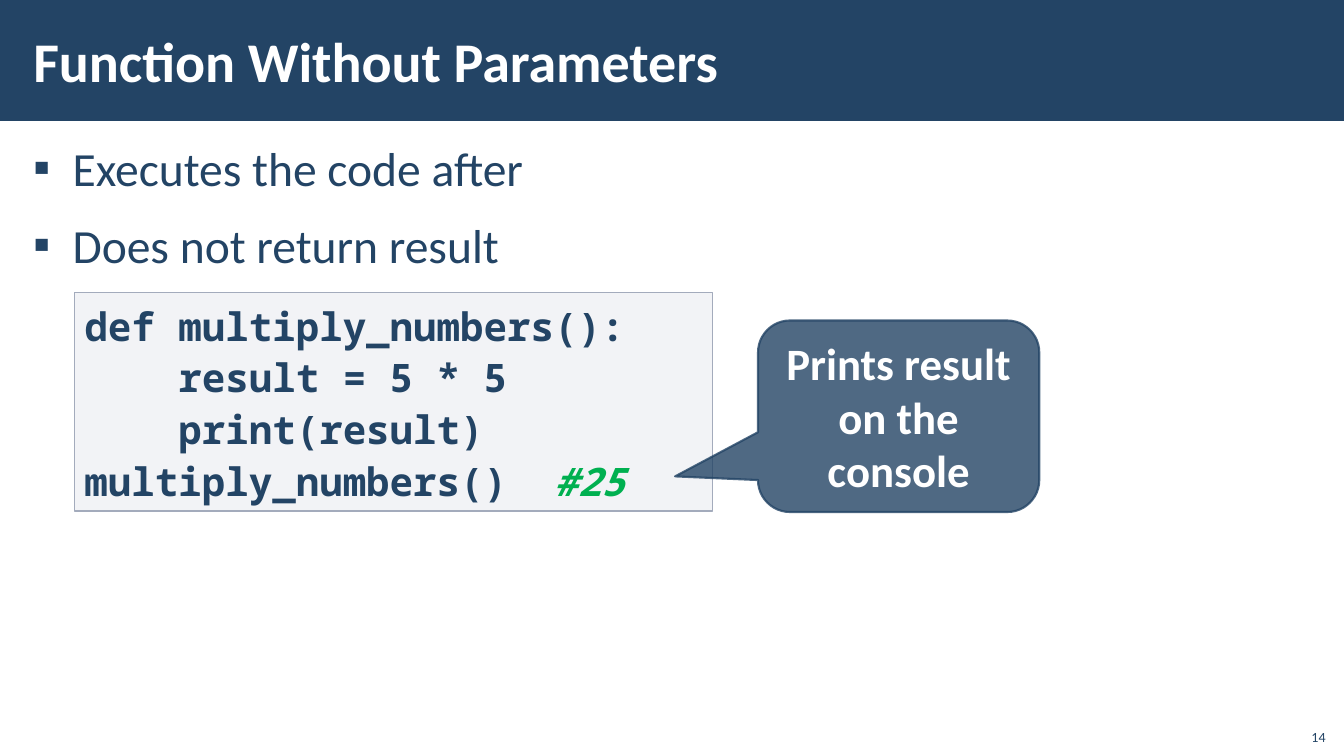
from dataclasses import dataclass

from lxml import etree
from pptx import Presentation
from pptx.dml.color import RGBColor
from pptx.enum.shapes import MSO_SHAPE
from pptx.enum.text import MSO_ANCHOR, MSO_AUTO_SIZE, PP_ALIGN
from pptx.oxml.ns import qn
from pptx.shapes.autoshape import Shape
from pptx.util import Pt

RECTANGLE = MSO_SHAPE.RECTANGLE
CALLOUT = MSO_SHAPE.ROUNDED_RECTANGULAR_CALLOUT
TOP, MIDDLE, BOTTOM = MSO_ANCHOR.TOP, MSO_ANCHOR.MIDDLE, MSO_ANCHOR.BOTTOM
LEFT, CENTER, RIGHT = PP_ALIGN.LEFT, PP_ALIGN.CENTER, PP_ALIGN.RIGHT
NO_FIT, GROW = MSO_AUTO_SIZE.NONE, MSO_AUTO_SIZE.SHAPE_TO_FIT_TEXT

COLORS = {
    "navy": "234465",
    "white": "FFFFFF",
    "code_fill": "C2C7D2",
    "code_line": "A3ABBC",
    "comment": "00B050",
}
SLIDE_WIDTH, SLIDE_HEIGHT = 960, 540
BULLET_INDENT = 28.08


@dataclass(frozen=True)
class Box:
    left: float
    top: float
    width: float
    height: float


@dataclass(frozen=True)
class TextStyle:
    size: float
    color: str
    font: str = "Calibri"
    bold: bool = False
    italic: bool = False
    align: PP_ALIGN = LEFT
    anchor: MSO_ANCHOR = TOP
    line_spacing: float = 1.0
    space: float = 0
    margin_x: float = 7.2
    margin_y: float = 3.6
    auto_size: MSO_AUTO_SIZE = NO_FIT


@dataclass(frozen=True)
class TextRun:
    text: str
    color: str | None = None
    italic: bool = False


TITLE = TextStyle(40, "white", bold=True, anchor=MIDDLE, margin_x=8.64, margin_y=2.88)
LIST = TextStyle(34, "navy", line_spacing=1.05, space=6, margin_x=8.64, margin_y=2.88)
CODE = TextStyle(28, "navy", "Noto Sans Mono", bold=True, line_spacing=1.1, auto_size=GROW)
NOTE = TextStyle(32, "white", bold=True, align=CENTER, anchor=MIDDLE, auto_size=GROW)
PAGE_NUMBER = TextStyle(10, "navy", align=RIGHT, anchor=BOTTOM)

BULLETS = [[TextRun("Executes the code after")], [TextRun("Does not return result")]]
CODE_LINES = [
    [TextRun("def multiply_numbers():")],
    [TextRun("    result = 5 * 5")],
    [TextRun("    print(result)")],
    [TextRun("multiply_numbers()  "), TextRun("#25", "comment", italic=True)],
]


def rgb(name: str) -> RGBColor:
    return RGBColor.from_string(COLORS[name])


def place(shape: Shape, box: Box) -> None:
    shape.left, shape.top = Pt(box.left), Pt(box.top)
    shape.width, shape.height = Pt(box.width), Pt(box.height)


def write(shape: Shape, lines: list[list[TextRun]], style: TextStyle) -> None:
    frame = shape.text_frame
    frame.word_wrap = True
    frame.auto_size = style.auto_size
    frame.vertical_anchor = style.anchor
    frame.margin_left = frame.margin_right = Pt(style.margin_x)
    frame.margin_top = frame.margin_bottom = Pt(style.margin_y)
    for index, line in enumerate(lines):
        paragraph = frame.add_paragraph() if index else frame.paragraphs[0]
        paragraph.alignment = style.align
        paragraph.line_spacing = style.line_spacing
        paragraph.space_before = paragraph.space_after = Pt(style.space)
        for part in line:
            run = paragraph.add_run()
            run.text = part.text
            run.font.name, run.font.size = style.font, Pt(style.size)
            run.font.bold = style.bold
            run.font.italic = style.italic or part.italic
            run.font.color.rgb = rgb(part.color or style.color)


def add_bullets(shape: Shape) -> None:
    for paragraph in shape.text_frame.paragraphs:
        properties = paragraph._p.get_or_add_pPr()
        properties.set("marL", str(Pt(BULLET_INDENT)))
        properties.set("indent", str(-Pt(BULLET_INDENT)))
        etree.SubElement(properties, qn("a:buFont"), typeface="Calibri")
        etree.SubElement(properties, qn("a:buChar"), char="▪")


def add_box(slide, kind: MSO_SHAPE, box: Box, fill: str,
            line: str | None = None, line_width: float = 1) -> Shape:
    shape = slide.shapes.add_shape(kind, 0, 0, 0, 0)
    place(shape, box)
    shape.shadow.inherit = False
    shape.fill.solid()
    shape.fill.fore_color.rgb = rgb(fill)
    if line:
        shape.line.color.rgb = rgb(line)
        shape.line.width = Pt(line_width)
    else:
        shape.line.fill.background()
    return shape


def set_opacity(parent: etree._Element, percent: int) -> None:
    """Set the opacity of the solid fill directly inside a shape or line element."""
    color = parent.find(qn("a:solidFill")).find(qn("a:srgbClr"))
    etree.SubElement(color, qn("a:alpha"), val=str(percent * 1000))


def main() -> None:
    presentation = Presentation()
    presentation.slide_width, presentation.slide_height = Pt(SLIDE_WIDTH), Pt(SLIDE_HEIGHT)
    slide = presentation.slides.add_slide(presentation.slide_layouts[1])
    title, body = slide.shapes.title, slide.placeholders[1]

    band = add_box(slide, RECTANGLE, Box(0, 0, SLIDE_WIDTH, 86.4), "navy")
    title.element.addprevious(band.element)

    place(title, Box(15.12, 7.92, 765.36, 69.84))
    write(title, [[TextRun("Function Without Parameters")]], TITLE)

    place(body, Box(15.12, 94.32, 930.24, 435.6))
    write(body, BULLETS, LIST)
    add_bullets(body)

    code = add_box(slide, RECTANGLE, Box(53.28, 208.8, 455.76, 156.24), "code_fill", "code_line")
    set_opacity(code.element.spPr, 20)
    write(code, CODE_LINES, CODE)

    note = add_box(slide, CALLOUT, Box(541.44, 228.96, 200.88, 136.8), "navy", "navy", 1.5)
    for index, value in enumerate((-0.795, 0.314, 0.167)):
        note.adjustments[index] = value
    for parent in (note.element.spPr, note.element.spPr.find(qn("a:ln"))):
        set_opacity(parent, 80)
    write(note, [[TextRun("Prints result on the console")]], NOTE)

    page_number = slide.shapes.add_textbox(0, 0, 0, 0)
    place(page_number, Box(925.2, 512.64, 28.8, 23.04))
    write(page_number, [[TextRun("14")]], PAGE_NUMBER)

    presentation.save("out.pptx")


if __name__ == "__main__":
    main()
